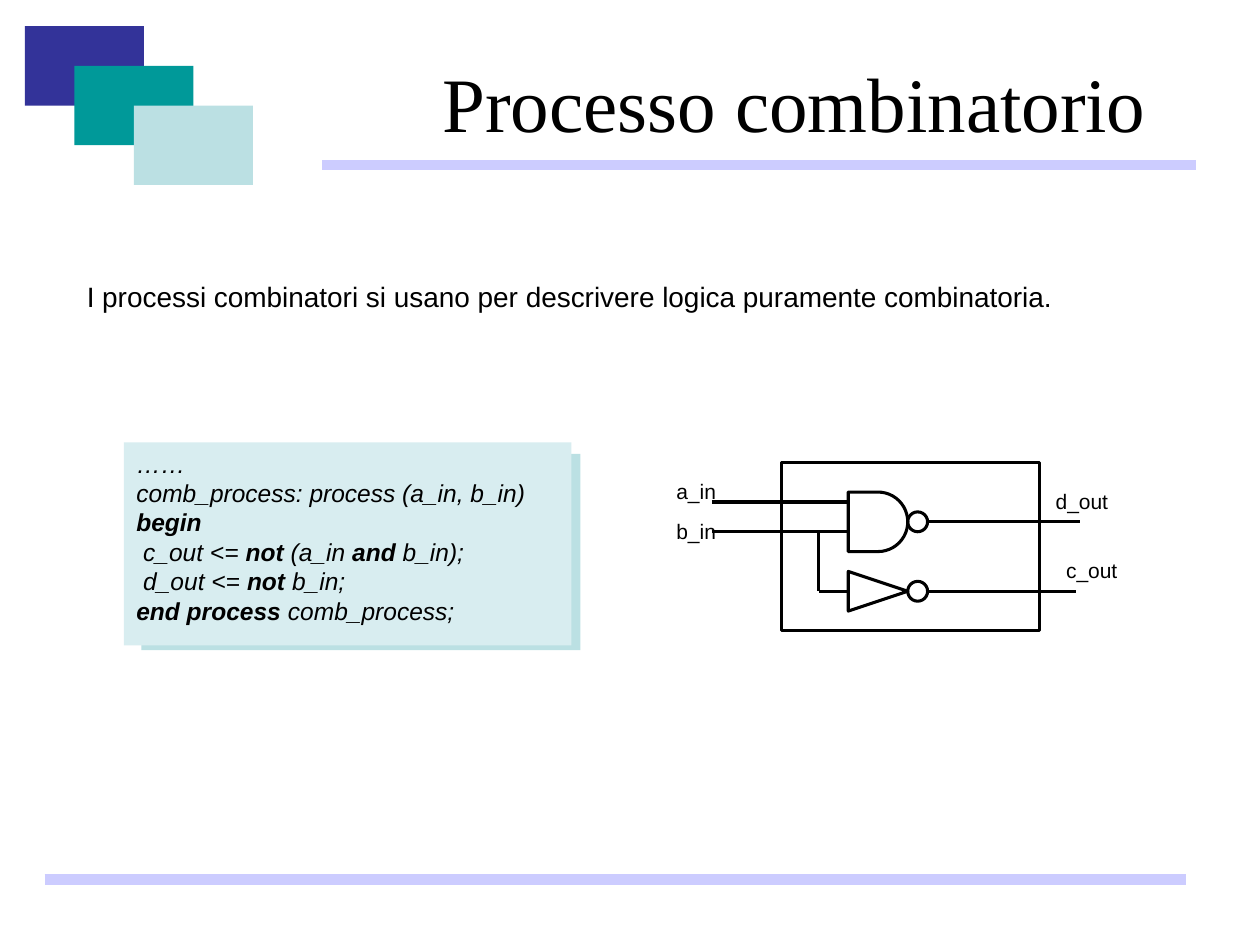
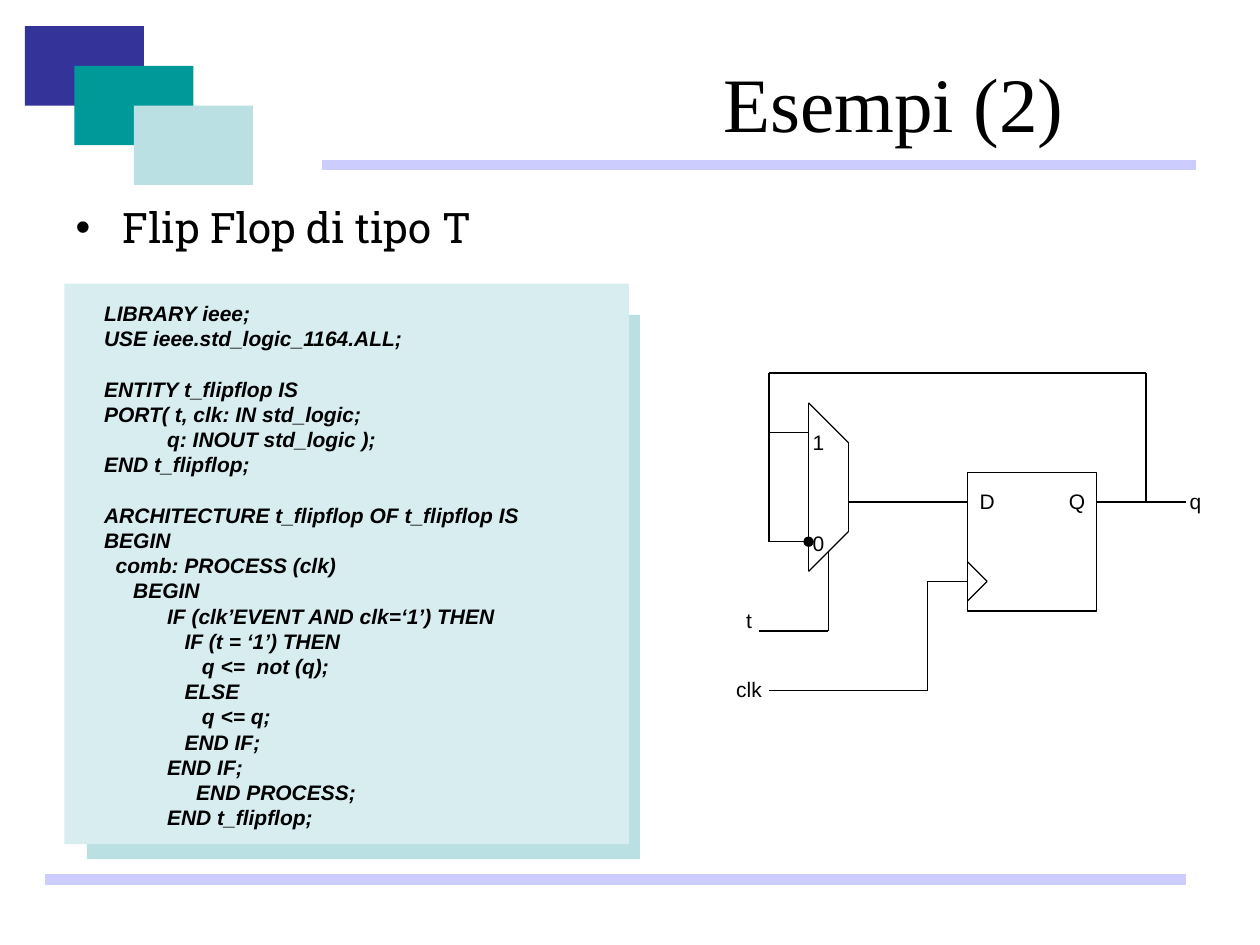
from itertools import pairwise

from lxml.etree import SubElement
from pptx import Presentation
from pptx.dml.color import RGBColor
from pptx.enum.shapes import MSO_CONNECTOR as Connector, MSO_SHAPE as Shape
from pptx.enum.text import MSO_ANCHOR as Anchor, MSO_AUTO_SIZE as AutoSize, PP_ALIGN as Align
from pptx.oxml.ns import qn
from pptx.util import Cm, Pt

INK = "000000"
NAVY = "333399"
TEAL = "009999"
AQUA = "BBE0E3"
PALE_AQUA = "D8EDF0"
LAVENDER = "CCCCFF"

COMB_PROCESS = [
    "……",
    "comb_process: process (a_in, b_in)",
    "*begin*",
    " c_out <= *not* (a_in *and* b_in);",
    " d_out <= *not* b_in;",
    "*end process* comb_process;",
]

T_FLIPFLOP_HEAD = [
    ["LIBRARY ieee;", "USE ieee.std_logic_1164.ALL;"],
    [
        "ENTITY t_flipflop IS",
        "PORT( t, clk: IN std_logic;",
        "\tq: INOUT std_logic );",
        "END t_flipflop;",
    ],
    [
        "ARCHITECTURE t_flipflop OF t_flipflop IS",
        "BEGIN",
        "  comb: PROCESS (clk)",
        "     BEGIN",
    ],
]

T_FLIPFLOP_BODY = [
    "IF (clk’EVENT AND clk=‘1’) THEN",
    "   IF (t = ‘1’) THEN",
    "      q <=  not (q);",
    "   ELSE",
    "      q <= q;",
    "   END IF;",
    "END IF;",
    "     END PROCESS;",
    "END t_flipflop;",
]


def color(hex_code):
    return RGBColor.from_string(hex_code)


def set_font(paragraph, size, name="Arial", bold=None, italic=None):
    font = paragraph.font
    font.size, font.name = Pt(size), name
    font.bold, font.italic = bold, italic
    font.color.rgb = color(INK)


def place(shape, left, top, width, height):
    shape.left, shape.top = Cm(left), Cm(top)
    shape.width, shape.height = Cm(width), Cm(height)


def add_block(slide, kind, left, top, width, height, fill=None, outline=None):
    block = slide.shapes.add_shape(kind, Cm(left), Cm(top), Cm(width), Cm(height))
    block.shadow.inherit = False
    if fill:
        block.fill.solid()
        block.fill.fore_color.rgb = color(fill)
    else:
        block.fill.background()
    if outline:
        block.line.color.rgb = color(INK)
        block.line.width = Pt(outline)
    else:
        block.line.fill.background()
    return block


def add_wire(slide, points, width, hue=INK):
    for (x1, y1), (x2, y2) in pairwise(points):
        wire = slide.shapes.add_connector(Connector.STRAIGHT, Cm(x1), Cm(y1), Cm(x2), Cm(y2))
        wire.line.color.rgb = color(hue)
        wire.line.width = Pt(width)
        SubElement(wire._element.spPr, qn("a:effectLst"))
    return wire


def add_text(slide, left, top, width, height, wrap=True):
    box = slide.shapes.add_textbox(Cm(left), Cm(top), Cm(width), Cm(height))
    box.text_frame.word_wrap = wrap
    return box.text_frame


def add_label(slide, text, left, top, width):
    paragraph = add_text(slide, left, top, width, 0.76, wrap=False).paragraphs[0]
    paragraph.text = text
    paragraph.alignment = Align.CENTER
    set_font(paragraph, 12)


def add_themed_slide(deck, layout, title, title_box):
    slide = deck.slides.add_slide(deck.slide_layouts[layout])
    heading = slide.shapes.title
    place(heading, *title_box)
    heading.text_frame.auto_size = AutoSize.NONE
    heading.text_frame.vertical_anchor = Anchor.MIDDLE
    paragraph = heading.text_frame.paragraphs[0]
    paragraph.text = title
    paragraph.alignment = Align.CENTER
    set_font(paragraph, 44, "Times New Roman")
    for left, top, fill in [(0.5, 0.53, NAVY), (1.5, 1.33, TEAL), (2.7, 2.13, AQUA)]:
        add_block(slide, Shape.RECTANGLE, left, top, 2.4, 1.6, fill)
    add_wire(slide, [(6.5, 3.33), (24.1, 3.33)], 6, LAVENDER)
    add_wire(slide, [(0.9, 17.73), (23.9, 17.73)], 6, LAVENDER)
    return slide


def add_code_panel(slide, face, shade, inset):
    add_block(slide, Shape.RECTANGLE, *shade, AQUA)
    add_block(slide, Shape.RECTANGLE, *face, PALE_AQUA)
    left, top, width, height = face
    dx, dy = inset
    return add_text(slide, left + dx, top + dy, width - 2 * dx, height - 2 * dy)


def add_code_line(frame, line, size, bold=None, indent=0, gap=0):
    first = frame.paragraphs[0]
    paragraph = frame.add_paragraph() if first.runs else first
    for position, part in enumerate(line.split("*")):
        if part:
            run = paragraph.add_run()
            run.text = part
            if position % 2:
                run.font.bold = True
    if indent:
        properties = paragraph._p.get_or_add_pPr()
        properties.set("marL", str(Cm(indent)))
        properties.set("indent", "0")
    if gap:
        paragraph.space_before = Pt(gap)
    set_font(paragraph, size, bold=bold, italic=True)


def add_gate_circuit(slide, left, top):
    def wire(*points):
        add_wire(slide, [(left + x, top + y) for x, y in points], 1.75)

    def part(kind, x, y, width, height):
        return add_block(slide, kind, left + x, top + y, width, height, outline=1.75)

    nand_y, not_y, gate_x, bubble_x = 1.2, 2.6, 1.35, 2.55
    bubble = 0.4
    part(Shape.RECTANGLE, 0, 0, 5.2, 3.4)
    part(Shape.FLOWCHART_DELAY, gate_x, nand_y - 0.6, 1.2, 1.2)
    part(Shape.FLOWCHART_EXTRACT, gate_x + 0.2, not_y - 0.6, 0.8, 1.2).rotation = 90
    for y, end in [(nand_y, 6.02), (not_y, 5.94)]:
        part(Shape.OVAL, bubble_x, y - bubble / 2, bubble, bubble)
        wire((bubble_x + bubble, y), (end, y))
    for y in (0.8, 1.4):
        wire((-1.4, y), (gate_x, y))
    wire((0.75, 1.4), (0.75, not_y), (gate_x, not_y))
    for text, x, y, width in [
        ("a_in", -2.44, 0.2, 1.45),
        ("b_in", -2.44, 1.0, 1.45),
        ("d_out", 5.16, 0.4, 1.8),
        ("c_out", 5.36, 1.8, 1.8),
    ]:
        add_label(slide, text, left + x, top + y, width)


def add_flipflop_circuit(slide, left, top):
    def wire(*points):
        return add_wire(slide, [(left + x, top + y) for x, y in points], 0.75)

    add_block(slide, Shape.RECTANGLE, left + 5.2, top + 2, 2.6, 2.8, outline=0.75)
    clock_notch = [(5.2, 4.6), (5.6, 4.2), (5.2, 3.8)]
    multiplexer = [(2, 0.6), (2.8, 1.4), (2.8, 3.2), (2, 4), (2, 0.6)]
    select = [(2.4, 3.6), (2.4, 5.2), (1, 5.2)]
    clock = [(5.2, 4.2), (4.4, 4.2), (4.4, 6.4), (1.2, 6.4)]
    for points in (clock_notch, multiplexer, select, clock):
        wire(*points)
    wire((2.8, 2.6), (5.2, 2.6))
    wire((7.8, 2.6), (9.6, 2.6))
    wire((1.2, 1.2), (2, 1.2))
    inverted = wire((8.8, 2.6), (8.8, 0), (1.2, 0), (1.2, 3.4), (2, 3.4))
    SubElement(inverted.line._get_or_add_ln(), qn("a:tailEnd"), type="oval")
    for text, x, y, width in [
        ("D", 5.2, 2.2, 0.8),
        ("Q", 7, 2.2, 0.8),
        ("q", 9.4, 2.2, 0.8),
        ("t", 0.4, 4.6, 0.8),
        ("clk", 0, 6, 1.6),
        ("1", 1.8, 1.02, 0.8),
        ("0", 1.8, 3.05, 0.8),
    ]:
        add_label(slide, text, left + x, top + y, width)


def build_combinational_process(deck):
    slide = add_themed_slide(deck, 5, "Processo combinatorio", (7.9, 0.76, 16.23, 2.57))
    intro = add_text(slide, 1.5, 5.51, 22.4, 0.94).paragraphs[0]
    intro.text = "I processi combinatori si usano per descrivere logica puramente combinatoria."
    set_font(intro, 16)
    code = add_code_panel(slide, (2.5, 8.92, 9.02, 4.09), (2.85, 9.15, 8.85, 3.96), (0, 0))
    for line in COMB_PROCESS:
        add_code_line(code, line, 14)
    add_gate_circuit(slide, 15.75, 9.32)


def build_flipflop_example(deck):
    slide = add_themed_slide(deck, 1, "Esempi (2)", (12.3, 0.97, 11.43, 2.16))
    topic = slide.placeholders[1]
    place(topic, 1.27, 3.94, 22.86, 12.57)
    paragraph = topic.text_frame.paragraphs[0]
    paragraph.text = "Flip Flop di tipo T"
    paragraph.space_before = Pt(0)
    set_font(paragraph, 24, "Roboto Slab")
    code = add_code_panel(slide, (1.3, 5.72, 11.38, 11.3), (1.75, 6.35, 11.15, 10.97), (0.55, 0.22))
    for number, section in enumerate(T_FLIPFLOP_HEAD):
        for position, line in enumerate(section):
            gap = 14.4 if number and not position else 0
            add_code_line(code, line, 12, bold=True, gap=gap)
    for line in T_FLIPFLOP_BODY:
        add_code_line(code, line, 12, bold=True, indent=1.27)
    add_flipflop_circuit(slide, 14.3, 7.52)


def main():
    deck = Presentation()
    deck.slide_width, deck.slide_height = Cm(25.4), Cm(19.05)
    build_combinational_process(deck)
    build_flipflop_example(deck)
    deck.save("out.pptx")


if __name__ == "__main__":
    main()
